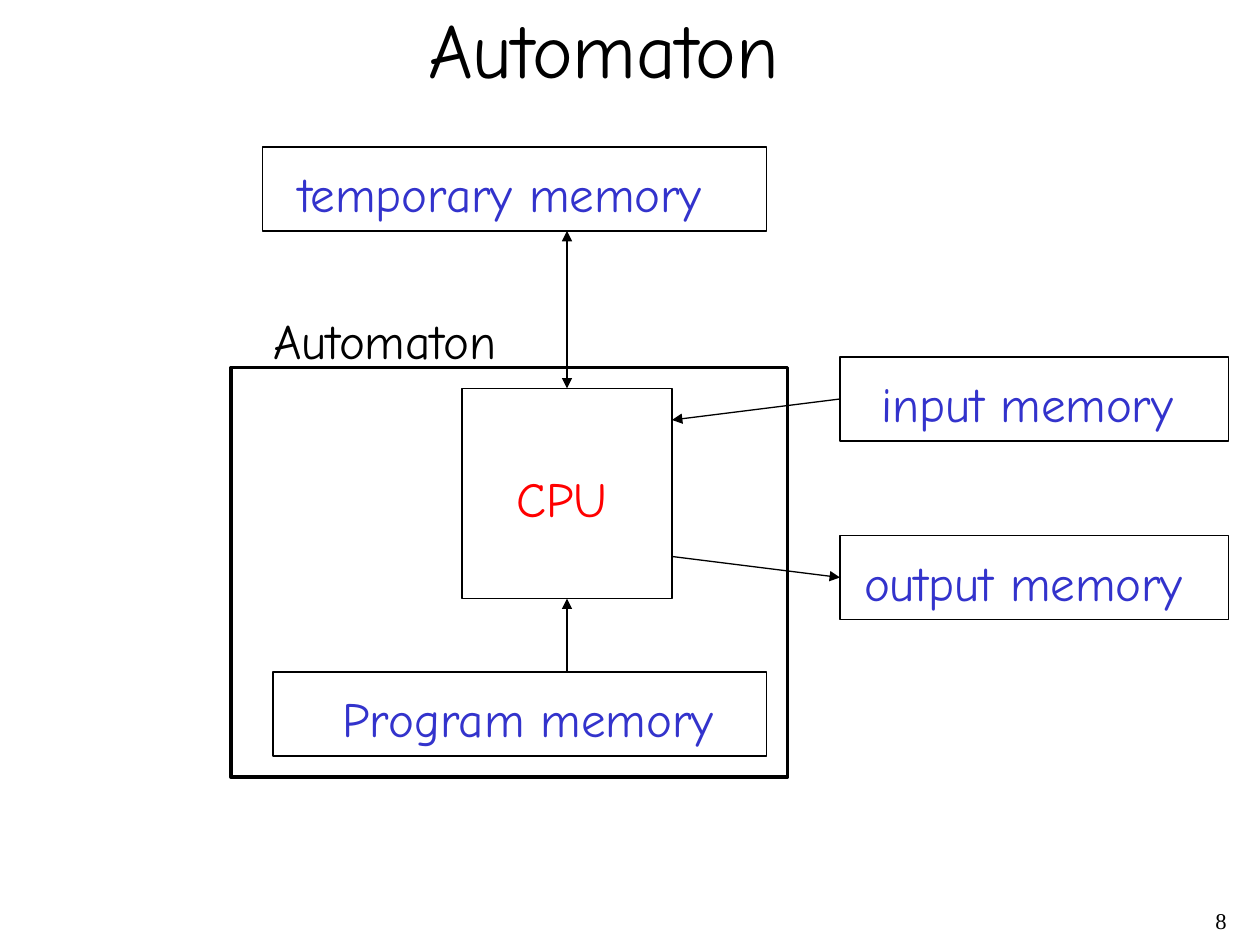
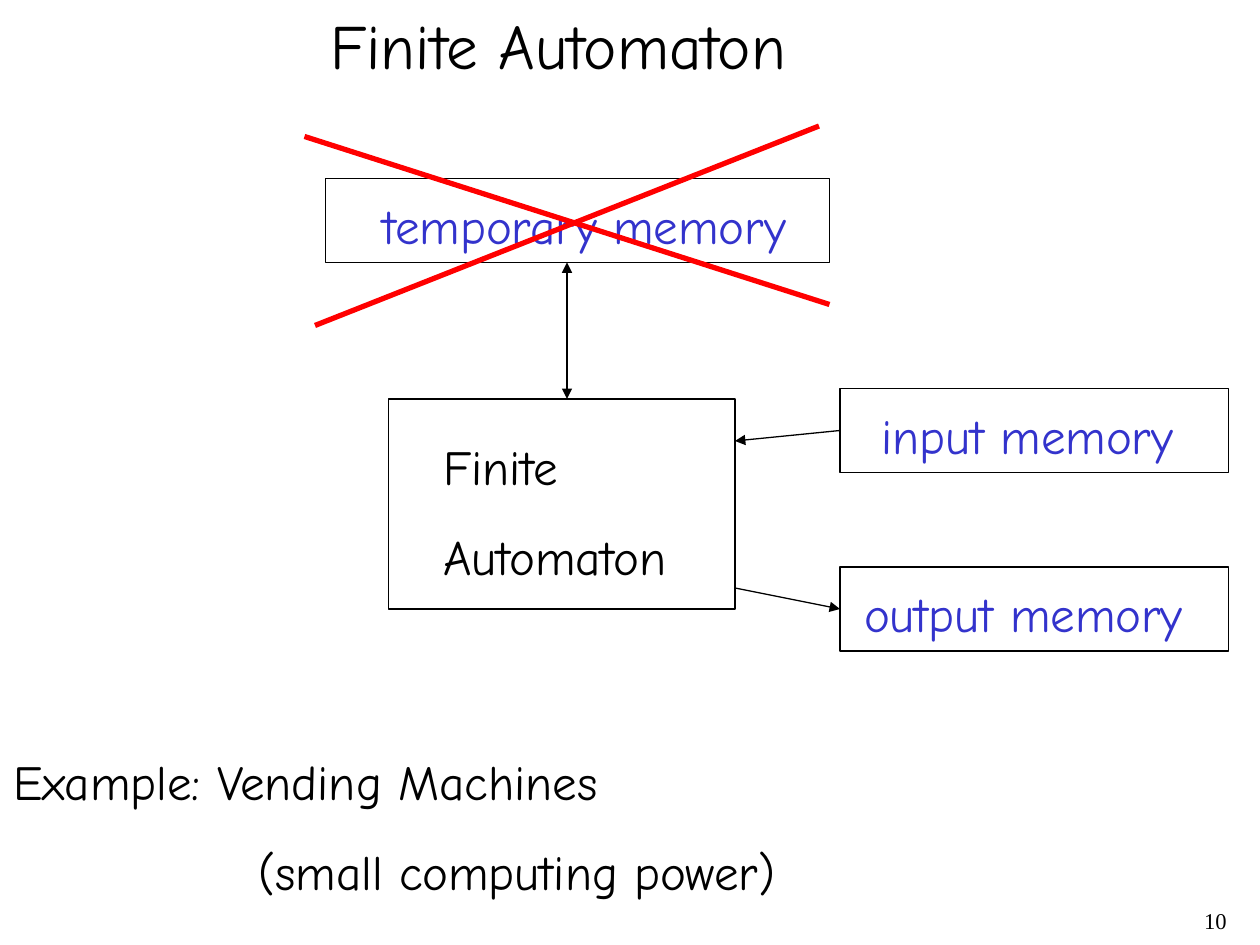
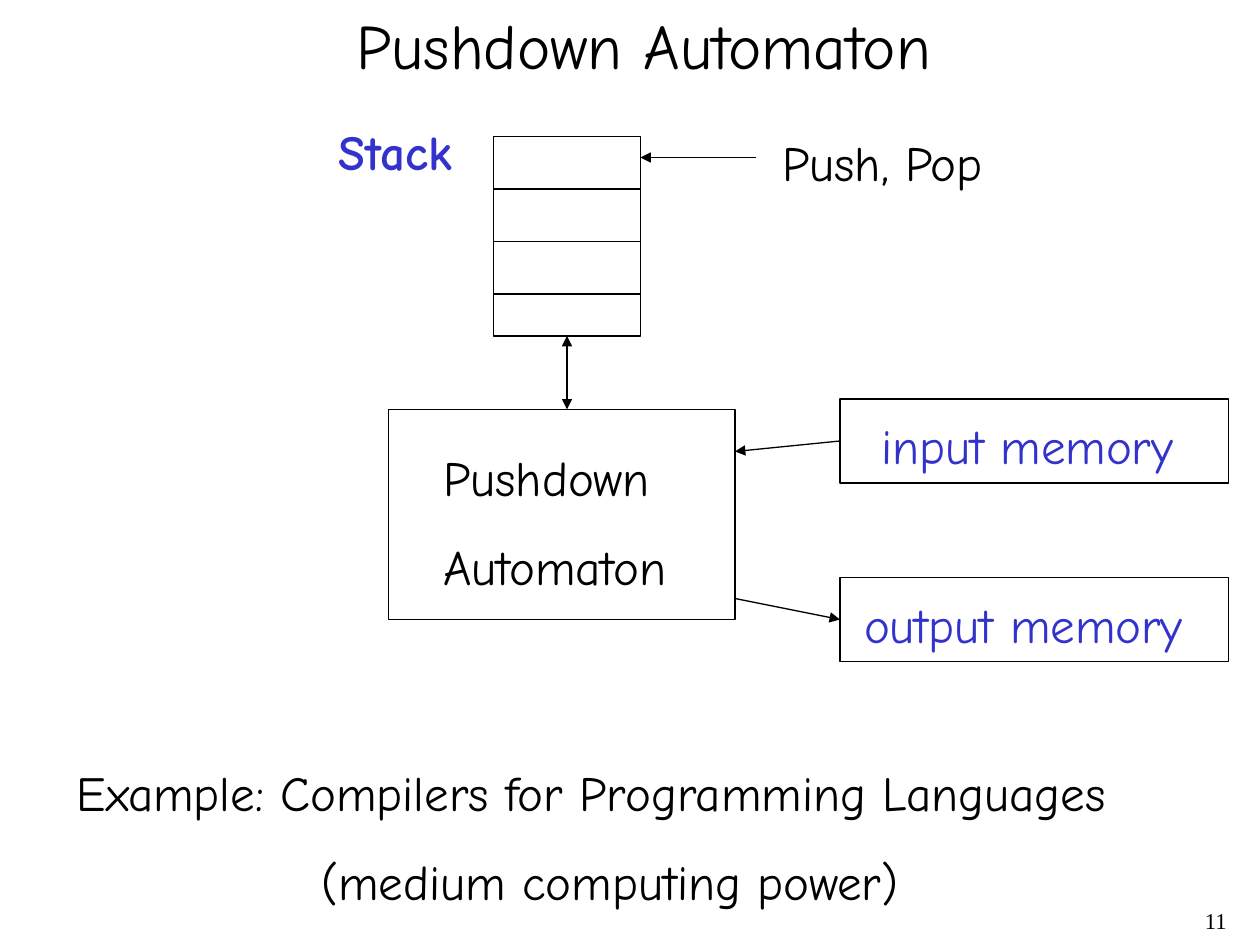
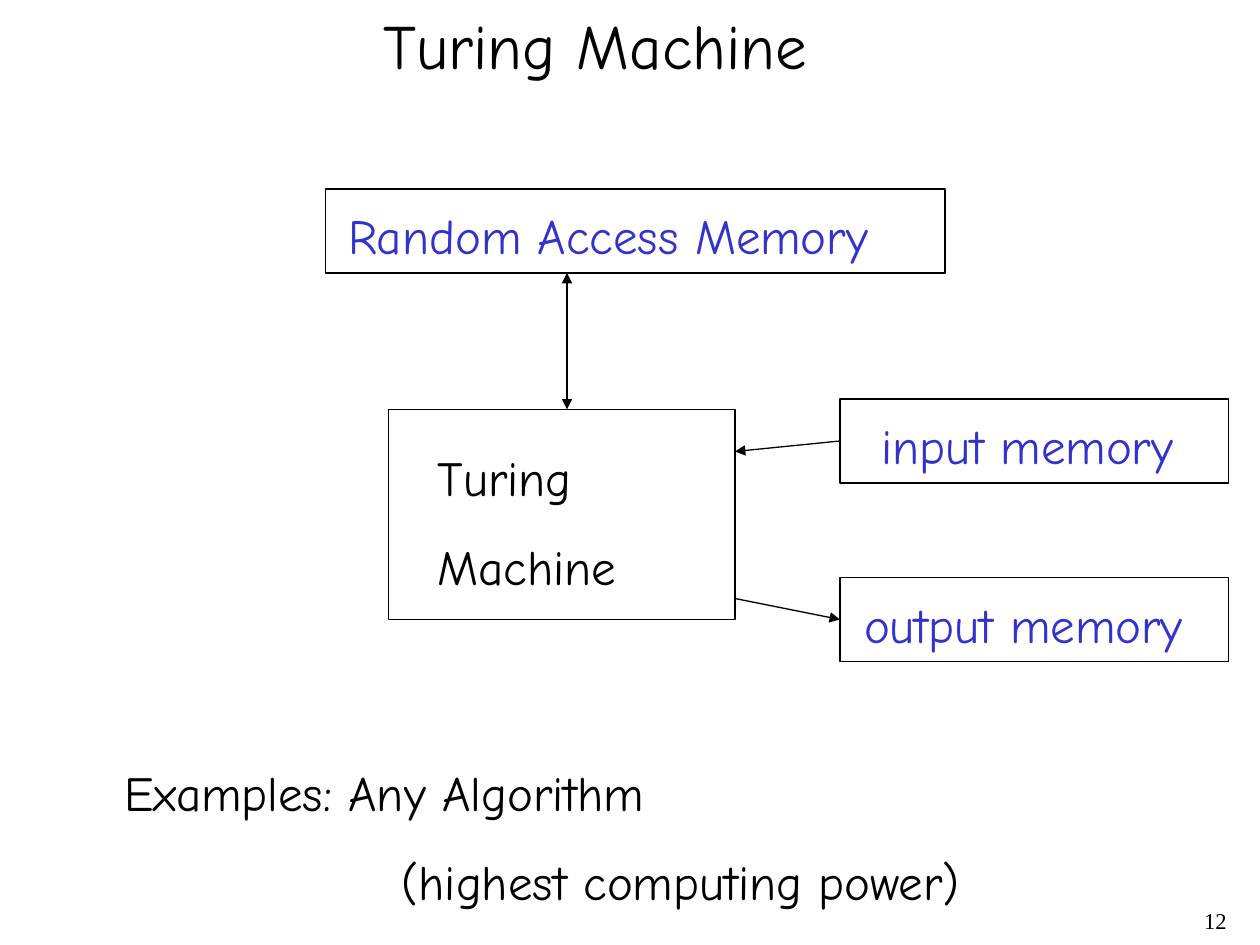
from lxml.etree import SubElement
from pptx import Presentation
from pptx.dml.color import RGBColor as Rgb
from pptx.enum.shapes import MSO_CONNECTOR as Connector, MSO_SHAPE as Shape
from pptx.enum.text import MSO_AUTO_SIZE as AutoSize, PP_ALIGN as Align
from pptx.oxml.ns import qn
from pptx.util import Pt

COLORS = {"ink": "000000", "memory": "3333CC", "accent": "FF0000"}
FONT, NUMBER_FONT = "Comic Neue", "Times New Roman"
BODY = 28
MEMORY_LEFT, MEMORY_WIDTH, MEMORY_HEIGHT = 480, 222, 48
OUTPUT_DROP = 102  # from the top of the input box to the top of the output box
AXIS = 324  # x of the vertical arrows


def add_text(page, left, top, width, lines, color="ink", size=BODY, bold=False,
             wrap=False, indent=0):
    """Add a text box, one paragraph a line; indent applies after the first."""
    gap = size * 0.625
    height = len(lines) * size * 1.2 + (len(lines) - 1) * gap + 7.2
    box = page.shapes.add_textbox(Pt(left), Pt(top), Pt(width), Pt(height))
    frame = box.text_frame
    frame.word_wrap = wrap
    frame.auto_size = AutoSize.SHAPE_TO_FIT_TEXT
    for i, line in enumerate(lines):
        para = frame.add_paragraph() if i else frame.paragraphs[0]
        para.space_before = Pt(gap)
        if i and indent:
            para._p.get_or_add_pPr().set("marL", str(Pt(indent)))
        span = para.add_run()
        span.text = line
        span.font.name = FONT
        span.font.size = Pt(size)
        span.font.bold = bold
        span.font.color.rgb = Rgb.from_string(COLORS[color])


def add_line(page, sites, start, end, arrows="", color="ink", weight=0.75):
    """Add a line with arrowheads at "head" and/or "tail", joined to box sides."""
    line = page.shapes.add_connector(Connector.STRAIGHT, *map(Pt, start + end))
    line.line.color.rgb = Rgb.from_string(COLORS[color])
    line.line.width = Pt(weight)
    outline = line.element.spPr.find(qn("a:ln"))
    for tip in ("head", "tail"):
        if tip in arrows:
            SubElement(outline, qn(f"a:{tip}End"), type="triangle")
    SubElement(line.element.spPr, qn("a:effectLst"))
    if start in sites:
        line.begin_connect(*sites[start])
    if end in sites:
        line.end_connect(*sites[end])


# Content: boxes are left, top, width, height, line weight
pages = [
    {
        "number": 8, "title": ("Automaton", 237.6, -2.9, 219, 44),
        "input_top": 204, "machine": (264, 222, 120, 120), "input_arrow": 36,
        "boxes": [(150, 84, 288, 48, 0.75), (156, 384, 282, 48, 0.75),
                  (132, 210, 318, 234, 2)],
        "texts": [
            dict(left=288, top=264.2, width=69, lines=["CPU"], color="accent"),
            dict(left=188.6, top=390, width=229, lines=["Program memory"], color="memory"),
            dict(left=163.4, top=90, width=248, lines=["temporary memory"], color="memory"),
            dict(left=149, top=174, width=145, lines=["Automaton"]),
        ],
        "lines": [
            dict(start=(AXIS, 132), end=(AXIS, 222), arrows="head tail"),
            dict(start=(AXIS, 342), end=(AXIS, 384), arrows="head"),
        ],
    },
    {
        "number": 10, "title": ("Finite Automaton", 181.7, 0, 280, 36),
        "input_top": 222, "machine": (222, 228, 198, 120), "input_arrow": 30,
        "boxes": [(186, 102, 288, 48, 0.75)],
        "texts": [
            dict(left=211.5, top=108, width=248, lines=["temporary memory"], color="memory"),
            dict(left=246.2, top=246, width=145, lines=["Finite", "Automaton"]),
            dict(left=0.5, top=426, width=453, indent=140,
                 lines=["Example: Vending Machines", "(small computing power)"]),
        ],
        "lines": [
            dict(start=(AXIS, 150), end=(AXIS, 228), arrows="head tail"),
            dict(start=(174, 78), end=(474, 174), color="accent", weight=3),
            dict(start=(180, 186), end=(468, 72), color="accent", weight=3),
        ],
    },
    {
        "number": 11, "title": ("Pushdown Automaton", 196.6, 0, 347, 36),
        "input_top": 228, "machine": (222, 234, 198, 120), "input_arrow": 30,
        "boxes": [(282, 78, 84, 114, 0.75)],
        "texts": [
            dict(left=186.5, top=66, width=82, lines=["Stack"], color="memory", bold=True),
            dict(left=246.2, top=252, width=145, lines=["Pushdown", "Automaton"]),
            dict(left=36.7, top=432, width=626, indent=140,
                 lines=["Example: Compilers for Programming Languages",
                        "(medium computing power)"]),
            dict(left=439.9, top=72, width=132, lines=["Push, Pop"]),
        ],
        "lines": [
            dict(start=(AXIS, 192), end=(AXIS, 234), arrows="head tail"),
            dict(start=(432, 90), end=(366, 90), arrows="tail"),
            *(dict(start=(282, y), end=(366, y)) for y in (108, 138, 168)),
        ],
    },
    {
        "number": 12, "title": ("Turing Machine", 212, 0, 260, 36),
        "input_top": 228, "machine": (222, 234, 198, 120), "input_arrow": 30,
        "boxes": [(186, 108, 354, 48, 0.75)],
        "texts": [
            dict(left=192, top=114, width=336, lines=["Random Access Memory"],
                 color="memory", wrap=True),
            dict(left=243, top=252, width=119, lines=["Turing", "Machine"]),
            dict(left=64, top=432, width=495, indent=158.5,
                 lines=["Examples: Any Algorithm", "(highest computing power)"]),
        ],
        "lines": [dict(start=(AXIS, 156), end=(AXIS, 234), arrows="head tail")],
    },
]

deck = Presentation()
deck.slide_width, deck.slide_height = Pt(720), Pt(540)

for content in pages:
    page = deck.slides.add_slide(deck.slide_layouts[6])
    input_top = content["input_top"]
    output_top = input_top + OUTPUT_DROP

    # Page number
    number = page.shapes.add_textbox(Pt(558), Pt(516.3), Pt(150), Pt(24))
    number.text_frame.word_wrap = True
    para = number.text_frame.paragraphs[0]
    para.alignment = Align.RIGHT
    para.line_spacing = 0.9
    span = para.add_run()
    span.text = str(content["number"])
    span.font.name = NUMBER_FONT
    span.font.size = Pt(12.9)
    span.font.color.rgb = Rgb.from_string(COLORS["ink"])

    # Boxes, keeping the middle of each side as a joining site
    memories = [(MEMORY_LEFT, top, MEMORY_WIDTH, MEMORY_HEIGHT, 0.75)
                for top in (input_top, output_top)]
    sites = {}
    for left, top, width, height, weight in [
            (*content["machine"], 0.75), *memories, *content["boxes"]]:
        box = page.shapes.add_shape(Shape.RECTANGLE, Pt(left), Pt(top), Pt(width), Pt(height))
        box.shadow.inherit = False
        box.fill.background()
        box.line.color.rgb = Rgb.from_string(COLORS["ink"])
        box.line.width = Pt(weight)
        center, middle = left + width / 2, top + height / 2
        sides = [(center, top), (left, middle), (center, top + height), (left + width, middle)]
        sites.update({point: (box, i) for i, point in enumerate(sides)})

    # Title and labels
    title, left, top, width, size = content["title"]
    add_text(page, left, top, width, [title], size=size)
    add_text(page, 496.5, input_top + 6, 183, ["input memory"], "memory")
    add_text(page, 486.7, output_top + 6, 199, ["output memory"], "memory")
    for text in content["texts"]:
        add_text(page, **text)

    # Input and output arrows, then the lines of this page
    machine_right = content["machine"][0] + content["machine"][2]
    half = MEMORY_HEIGHT / 2
    add_line(page, sites, (machine_right, input_top + content["input_arrow"]),
             (MEMORY_LEFT, input_top + half), "head")
    add_line(page, sites, (machine_right, input_top + 114),
             (MEMORY_LEFT, output_top + half), "tail")
    for line in content["lines"]:
        add_line(page, sites, **line)

deck.save("out.pptx")
